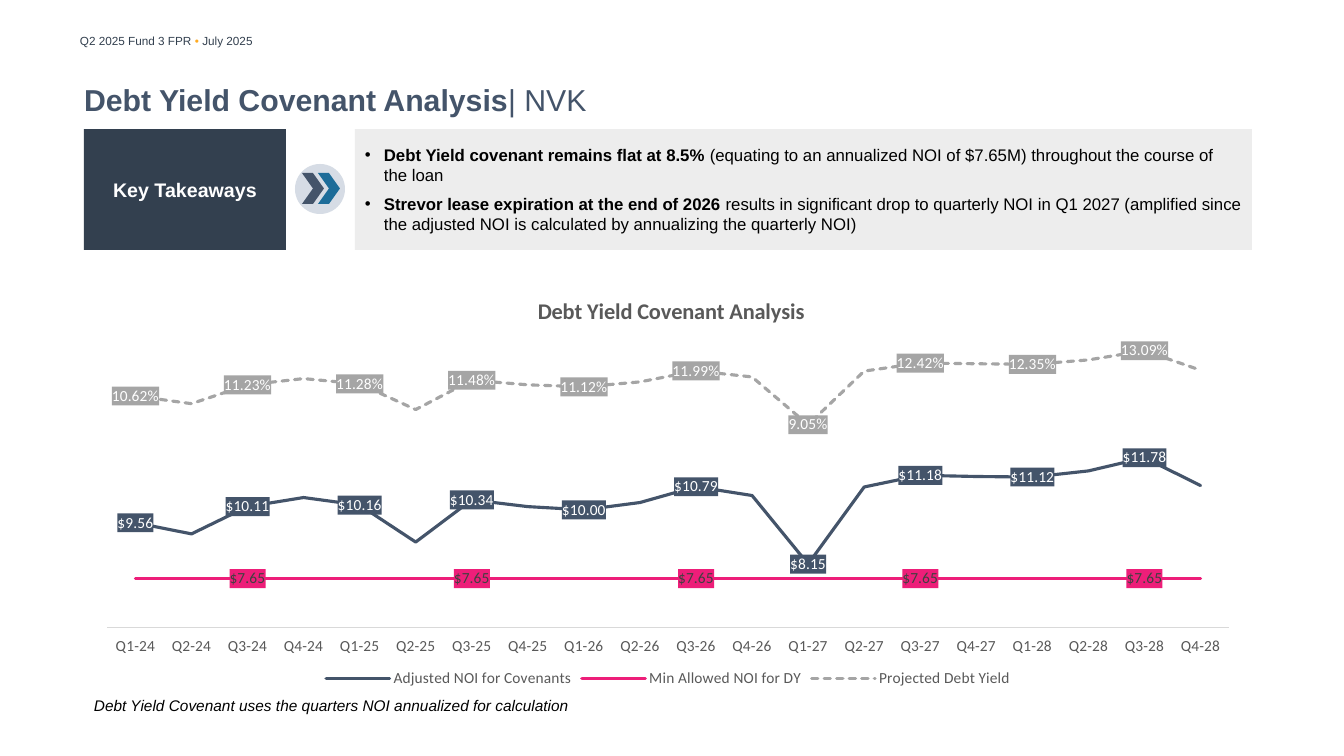
from copy import deepcopy

from lxml import etree
from pptx import Presentation
from pptx.chart.axis import ValueAxis
from pptx.chart.data import CategoryChartData
from pptx.dml.color import RGBColor
from pptx.enum.chart import XL_CHART_TYPE as ChartType
from pptx.enum.chart import XL_LABEL_POSITION as LabelPosition
from pptx.enum.chart import XL_LEGEND_POSITION as LegendPosition
from pptx.enum.chart import XL_TICK_LABEL_POSITION as TickLabels
from pptx.enum.chart import XL_TICK_MARK as TickMark
from pptx.enum.dml import MSO_LINE_DASH_STYLE as Dash
from pptx.enum.shapes import MSO_SHAPE as Shape
from pptx.enum.text import MSO_ANCHOR as Anchor
from pptx.enum.text import PP_ALIGN as Align
from pptx.oxml import parse_xml
from pptx.oxml.ns import nsdecls, qn
from pptx.util import Pt

SCALE = 914400 / 100.8
NAVY, SLATE, GREY, PINK = "33404F", "44546A", "A5A5A5", "ED1E79"
TEXT_GREY, BLACK, WHITE = "595959", "000000", "FFFFFF"
DOLLARS = '"$"#,##0.00'

QUARTERS = [f"Q{q}-{year}" for year in range(24, 29) for q in range(1, 5)]
NOI = [9.56, 9.18, 10.11, 10.42, 10.16, 8.9, 10.34, 10.11, 10, 10.25,
       10.79, 10.49, 8.15, 10.78, 11.18, 11.14, 11.12, 11.33, 11.78, 10.83]
DEBT_YIELD = [0.1062, 0.102, 0.1123, 0.1157, 0.1128, 0.0988, 0.1148, 0.1123, 0.1112, 0.1139,
              0.1199, 0.1166, 0.0905, 0.1198, 0.1242, 0.1238, 0.1235, 0.1259, 0.1309, 0.1203]
# name, values, line colour, label colour, label format, first label, label step
SERIES = [
    ("Adjusted NOI for Covenants", NOI, SLATE, WHITE, DOLLARS, 0, 2),
    ("Min Allowed NOI for DY", [7.65] * len(QUARTERS), PINK, "404040", DOLLARS, 2, 4),
    ("Projected Debt Yield", DEBT_YIELD, GREY, WHITE, "0.00%", 0, 2),
]


def px(*lengths):
    return [round(length * SCALE) for length in lengths]


def rgb(value):
    return RGBColor.from_string(value)


def style_font(font, size, color, name="Arial", **values):
    for key, value in {"size": Pt(size), "name": name, **values}.items():
        setattr(font, key, value)
    font.color.rgb = rgb(color)


def set_values(target, values):
    for key, value in values.items():
        setattr(target, key, value)


def write_spans(para, size, spans):
    for text, color, values in spans:
        span = para.add_run()
        span.text = text
        style_font(span.font, size, color, **values)


def add_text(page, at, size, spans, **frame_values):
    frame = page.shapes.add_textbox(*px(*at)).text_frame
    set_values(frame, {"word_wrap": True, **frame_values})
    write_spans(frame.paragraphs[0], size, spans)


def add_block(parent, kind, at, fill):
    block = parent.shapes.add_shape(kind, *px(*at))
    block.shadow.inherit = False
    block.fill.solid()
    block.fill.fore_color.rgb = rgb(fill)
    block.line.fill.background()
    block.text_frame.vertical_anchor = Anchor.MIDDLE
    return block


def add_bullets(frame, items):
    indent = px(19)[0]
    for number, (lead, rest) in enumerate(items):
        para = frame.add_paragraph() if number else frame.paragraphs[0]
        props = para._p.get_or_add_pPr()
        props.set("marL", str(indent))
        props.set("indent", str(-indent))
        etree.SubElement(props, qn("a:buFont")).set("typeface", "Arial")
        etree.SubElement(props, qn("a:buChar")).set("char", "•")
        para.alignment = Align.LEFT
        if number:
            para.space_before = Pt(6)
        write_spans(para, 12, [(lead, BLACK, {"bold": True}), (rest, BLACK, {"bold": False})])


def layout_xml(target="", **edges):
    inner = f'<c:layoutTarget val="{target}"/>' if target else ""
    modes = "".join(f'<c:{edge}Mode val="edge"/>' for edge in "xy")
    sizes = "".join(f'<c:{edge} val="{value}"/>' for edge, value in edges.items())
    return parse_xml(f'<c:layout {nsdecls("c")}><c:manualLayout>{inner}{modes}{sizes}'
                     '</c:manualLayout></c:layout>')


def replace_layout(parent, layout, index):
    for old in parent.findall(qn("c:layout")):
        parent.remove(old)
    parent.insert(index, layout)


def style_series(series, color, label_color, number_format, first, step):
    series.smooth = False
    series.format.line.width = Pt(2.25)
    series.format.line.color.rgb = rgb(color)
    series.format.line._get_or_add_ln().set("cap", "rnd")
    labels = series.data_labels
    set_values(labels, {"show_value": True, "position": LabelPosition.CENTER,
                        "number_format": number_format, "number_format_is_linked": False})
    style_font(labels.font, 11, label_color, "Calibri")
    # Filled label boxes, shown only at every step-th quarter
    box = parse_xml(f'<c:spPr {nsdecls("c", "a")}><a:solidFill><a:srgbClr val="{color}"/>'
                    '</a:solidFill></c:spPr>')
    element = labels._element
    element.find(qn("c:txPr")).addprevious(box)
    shown = range(first, len(QUARTERS), step)
    hidden = [i for i in range(len(QUARTERS)) if i not in shown]
    for place, index in enumerate(hidden):
        element.insert(place, parse_xml(f'<c:dLbl {nsdecls("c")}><c:idx val="{index}"/>'
                                        '<c:delete val="1"/></c:dLbl>'))


def move_last_to_right_axis(chart, low, high):
    plot = chart.plots[0]._element
    right_plot = deepcopy(plot)
    plot.remove(plot.findall(qn("c:ser"))[-1])
    for series in right_plot.findall(qn("c:ser"))[:-1]:
        right_plot.remove(series)
    plot.addnext(right_plot)
    category, value = chart.category_axis._element, chart.value_axis._element
    right_category, right_value = deepcopy(category), deepcopy(value)
    value.addnext(right_category)
    right_category.addnext(right_value)
    ids = {"c:axId": ("5001", "5002"), "c:crossAx": ("5002", "5001")}
    for tag, numbers in ids.items():
        for axis, number in zip((right_category, right_value), numbers):
            axis.find(qn(tag)).set("val", number)
    for reference, number in zip(right_plot.findall(qn("c:axId")), ids["c:axId"]):
        reference.set("val", number)
    right_category.find(qn("c:delete")).set("val", "1")
    right_value.find(qn("c:axPos")).set("val", "r")
    right_value.find(qn("c:crosses")).set("val", "max")
    set_values(ValueAxis(right_value), {"minimum_scale": low, "maximum_scale": high})


def add_covenant_chart(page, at):
    data = CategoryChartData()
    data.categories = QUARTERS
    for name, values, *_ in SERIES:
        data.add_series(name, values)
    chart = page.shapes.add_chart(ChartType.LINE, *px(*at), data).chart
    style_font(chart.font, 10, BLACK, "Calibri")
    chart.plots[0].vary_by_categories = False

    # Title and legend
    title = chart.chart_title
    title.text_frame.text = "Debt Yield Covenant Analysis"
    style_font(title.text_frame.paragraphs[0].runs[0].font, 16, TEXT_GREY, "Calibri", bold=True)
    replace_layout(title._element, layout_xml(x=0.385, y=0.05), 1)
    chart.has_legend = True
    set_values(chart.legend, {"position": LegendPosition.BOTTOM, "include_in_layout": False})
    style_font(chart.legend.font, 11, TEXT_GREY, "Calibri")

    # Axes
    quarters, amounts = chart.category_axis, chart.value_axis
    set_values(quarters, {"major_tick_mark": TickMark.NONE, "tick_label_position": TickLabels.LOW})
    style_font(quarters.tick_labels.font, 11, TEXT_GREY, "Calibri")
    quarters.format.line.color.rgb = rgb("D9D9D9")
    quarters.format.line.width = Pt(0.75)
    set_values(amounts, {"minimum_scale": 6, "maximum_scale": 16, "has_major_gridlines": False,
                         "major_tick_mark": TickMark.NONE,
                         "tick_label_position": TickLabels.NONE})
    amounts.format.line.fill.background()

    # Lines
    for series, (_, _, *formats) in zip(chart.plots[0].series, SERIES):
        style_series(series, *formats)
    chart.plots[0].series[2].format.line.dash_style = Dash.SQUARE_DOT
    move_last_to_right_axis(chart, -0.02, 0.14)
    plot_area = chart._chartSpace.chart.plotArea
    replace_layout(plot_area, layout_xml("inner", x=0.02, y=0.15, w=0.96, h=0.696), 0)


def main():
    deck = Presentation()
    deck.slide_width, deck.slide_height = px(1344, 756)
    page = deck.slides.add_slide(deck.slide_layouts[6])

    # Header and title
    add_text(page, (70, 29, 455, 24), 8.4, [
        ("Q2 2025 Fund 3 FPR ", NAVY, {}), ("• ", "FFAB21", {}), ("July 2025", NAVY, {})])
    add_text(page, (84, 61, 1111, 76), 21.6, [
        ("Debt Yield Covenant Analysis", SLATE, {"bold": True}), ("| NVK", SLATE, {})],
        vertical_anchor=Anchor.MIDDLE, margin_left=0, margin_right=0, margin_top=0, margin_bottom=0)

    # Key takeaways
    heading = add_block(page, Shape.RECTANGLE, (84, 129, 202, 121), NAVY)
    para = heading.text_frame.paragraphs[0]
    para.alignment = Align.CENTER
    write_spans(para, 14, [("Key Takeaways", WHITE, {"bold": True})])
    badge = page.shapes.add_group_shape()
    add_block(badge, Shape.OVAL, (295, 164, 50, 50), "D6DCE5")
    for left, color in ((302, SLATE), (318, "1C6C99")):
        add_block(badge, Shape.CHEVRON, (left, 173, 22, 31), color)
    takeaways = add_block(page, Shape.RECTANGLE, (355, 129, 897, 121), "EDEDED")
    add_bullets(takeaways.text_frame, [
        ("Debt Yield covenant remains flat at 8.5% ",
         "(equating to an annualized NOI of $7.65M) throughout the course of the loan"),
        ("Strevor lease expiration at the end of 2026 ",
         "results in significant drop to quarterly NOI in Q1 2027 (amplified since "
         "the adjusted NOI is calculated by annualizing the quarterly NOI)")])

    # Chart and footnote
    add_covenant_chart(page, (84, 271, 1168, 421))
    add_text(page, (84, 691, 1176, 29), 11, [
        ("Debt Yield Covenant uses the quarters NOI annualized for calculation",
         BLACK, {"italic": True})])
    deck.save("out.pptx")


if __name__ == "__main__":
    main()
